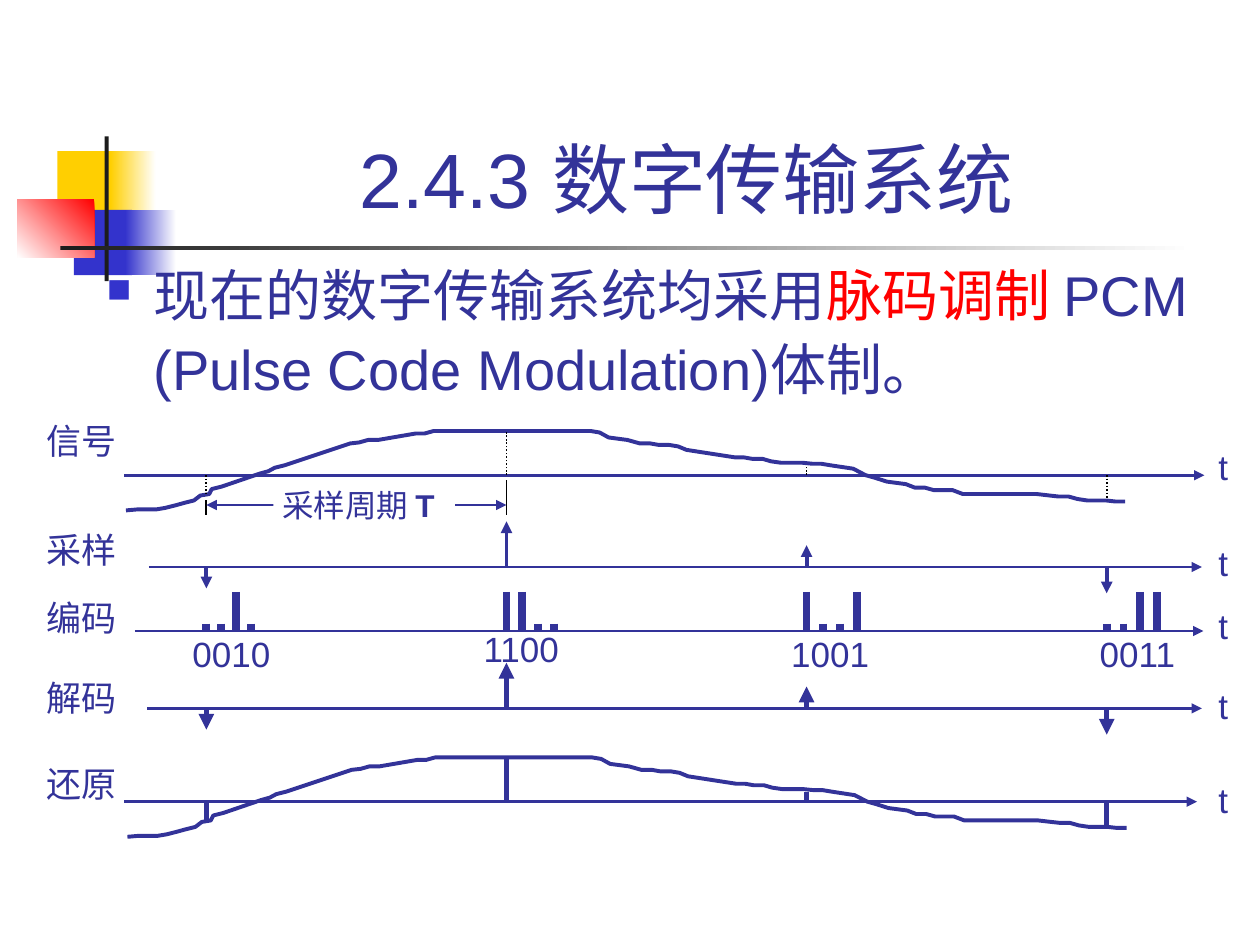
from collections import namedtuple
from dataclasses import dataclass

from lxml import etree
from pptx import Presentation
from pptx.dml.color import RGBColor
from pptx.enum.dml import MSO_LINE
from pptx.enum.shapes import MSO_CONNECTOR, MSO_SHAPE
from pptx.enum.text import MSO_ANCHOR, MSO_AUTO_SIZE, PP_ALIGN
from pptx.oxml.ns import qn
from pptx.util import Cm, Pt

STRAIGHT = MSO_CONNECTOR.STRAIGHT
RECTANGLE = MSO_SHAPE.RECTANGLE
DOTTED = MSO_LINE.ROUND_DOT
GROW, FIXED = MSO_AUTO_SIZE.SHAPE_TO_FIT_TEXT, MSO_AUTO_SIZE.NONE
BOTTOM, CENTER = MSO_ANCHOR.BOTTOM, PP_ALIGN.CENTER

Box = namedtuple("Box", "left top width height")
# Centimetres; axis is the height of the time axis, the rises are above it.
Row = namedtuple("Row", "label left axis right label_rise unit_rise")


@dataclass(frozen=True)
class Theme:
    ink: str = "333399"
    accent: str = "FF0000"
    blue: str = "3333CC"
    yellow: str = "FFCF01"
    dark: str = "1C1C1C"
    black: str = "000000"
    white: str = "FFFFFF"
    font: str = "Arial"
    label_font: str = "Times New Roman"
    title: int = 44
    body: int = 32
    body_end: int = 36
    label: int = 20
    note: int = 18
    hairline: float = 1
    axis: float = 1.5
    curve: float = 2.25
    stem: float = 3
    bar: float = 4.5


THEME = Theme()
SAMPLE_X = [4.16 + 6.05 * i for i in range(4)]
CURVE_DROPS = (0.41, -0.89, -0.19, 0.49)
PULSE_DROPS = (0.43, -0.92, -0.44, 0.53)
# Offsets from the start of the curve and below the axis
CURVE = (
    (0, .71), (.23, .69), (.61, .69), (.79, .66), (.99, .61), (1.17, .56), (1.37, .51),
    (1.5, .41), (1.68, .38), (1.73, .28), (1.93, .23), (2.69, -.03), (2.87, -.08),
    (3, -.15), (3.2, -.2), (4.52, -.64), (4.7, -.66), (4.88, -.71), (5.08, -.71),
    (5.84, -.84), (6.02, -.84), (6.2, -.89), (9.37, -.89), (9.55, -.86), (9.73, -.76),
    (10.11, -.71), (10.36, -.64), (10.57, -.64), (10.74, -.61), (10.95, -.61),
    (11.13, -.58), (11.3, -.51), (12.27, -.36), (12.45, -.36), (12.62, -.33),
    (12.83, -.33), (13, -.28), (13.21, -.25), (13.64, -.25), (13.84, -.23),
    (14.02, -.23), (14.2, -.2), (14.66, -.13), (14.91, 0), (15.09, .05), (15.34, .13),
    (15.72, .18), (15.9, .25), (16.1, .25), (16.28, .3), (16.66, .3), (16.87, .38),
    (18.36, .38), (18.62, .41), (18.8, .43), (19, .43), (19.18, .48), (19.38, .51),
    (19.76, .51), (19.94, .53), (20.14, .53),
)
# Code word, distance between bars, left of its label, drop of its label
CODES = (
    ("0010", 0.3, 3.63, -0.1), ("1100", 0.32, 9.5, -0.2),
    ("1001", 0.34, 15.7, -0.1), ("0011", 0.34, 21.92, -0.1),
)


def rgb(color):
    return RGBColor.from_string(color)


def lengths(box):
    return [Cm(value) for value in box]


def add_span(para, text, size, color=THEME.ink, **formats):
    span = para.add_run()
    span.text = text
    span.font.color.rgb = rgb(color)
    for name, value in {"name": THEME.font, "size": Pt(size), **formats}.items():
        setattr(span.font, name, value)


def add_label(slide, box, text, size=THEME.label, **formats):
    """Add an unwrapped line of text and return its paragraph."""
    frame = slide.shapes.add_textbox(*lengths(box)).text_frame
    frame.word_wrap = False
    frame.auto_size = GROW
    add_span(frame.paragraphs[0], text, size, **formats)
    return frame.paragraphs[0]


def add_line(slide, start, end, width, color=THEME.ink, dash=None, arrows=()):
    """Draw a line; arrows lists headEnd (at start) and tailEnd (at end), in that order."""
    line = slide.shapes.add_connector(STRAIGHT, *lengths(start + end))
    line.line.color.rgb = rgb(color)
    line.line.width = Pt(width)
    if dash:
        line.line.dash_style = dash
    properties = line._element.spPr
    for arrow in arrows:
        etree.SubElement(properties.find(qn("a:ln")), qn(f"a:{arrow}"), type="triangle")
    etree.SubElement(properties, qn("a:effectLst"))


def add_block(slide, box, color, fade_to=None, angle=0):
    block = slide.shapes.add_shape(RECTANGLE, *lengths(box))
    block.shadow.inherit = False
    block.line.fill.background()
    if fade_to is None:
        block.fill.solid()
        block.fill.fore_color.rgb = rgb(color)
        return
    block.fill.gradient()
    block.fill.gradient_angle = angle
    for stop, shade in zip(block.fill.gradient_stops, (color, fade_to)):
        stop.color.rgb = rgb(shade)


def add_ornament(slide, box):
    white = THEME.white
    blocks = (
        (Box(0.81, 0.3, 1.22, 1.32), THEME.yellow),
        (Box(1.88, 0.3, 0.91, 1.32), THEME.yellow, white),
        (Box(1.14, 1.48, 1.17, 1.32), THEME.blue),
        (Box(2.18, 1.48, 1.02, 1.32), THEME.blue, white),
        (Box(0, 1.27, 1.55, 1.17), THEME.accent, white, 225),
        (Box(1.76, 0, 0.08, 2.92), THEME.dark),
        (Box(0.87, 2.2, 22.86, 0.09), THEME.dark, white),
    )
    for part, *fill in blocks:
        place = part._replace(left=box.left + part.left, top=box.top + part.top)
        add_block(slide, place, *fill)


def add_title(slide, box):
    title = slide.shapes.title
    for name, value in zip(Box._fields, lengths(box)):
        setattr(title, name, value)
    frame = title.text_frame
    for name, value in {"auto_size": FIXED, "vertical_anchor": BOTTOM, "word_wrap": True}.items():
        setattr(frame, name, value)
    frame.paragraphs[0].alignment = CENTER
    add_span(frame.paragraphs[0], "2.4.3 数字传输系统 ", THEME.title)


def add_statement(slide, box):
    frame = slide.shapes.add_textbox(*lengths(box)).text_frame
    frame.word_wrap = True
    para = frame.paragraphs[0]
    properties = para._p.get_or_add_pPr()
    properties.set("marL", str(Cm(0.95)))
    properties.set("indent", str(Cm(-0.95)))
    bullet_color = etree.SubElement(properties, qn("a:buClr"))
    etree.SubElement(bullet_color, qn("a:srgbClr"), val=THEME.blue)
    etree.SubElement(properties, qn("a:buSzPct"), val="60000")
    etree.SubElement(properties, qn("a:buChar"), char="■")
    add_span(para, "现在的数字传输系统均采用", THEME.body)
    add_span(para, "脉码调制 ", THEME.body, THEME.accent)
    add_span(para, "PCM (Pulse Code Modulation)体制。", THEME.body)
    add_span(para, " ", THEME.body_end)


def add_axis(slide, row, font=THEME.font):
    add_line(slide, (row.left, row.axis), (row.right, row.axis), THEME.axis, arrows=["tailEnd"])
    add_label(slide, Box(0.69, row.axis - row.label_rise, 1.93, 1.09), row.label, name=font)
    add_label(slide, Box(24.31, row.axis - row.unit_rise, 0.71, 1.09), "t")


def add_curve(slide, left, axis):
    points = [(Cm(left + x), Cm(axis + y)) for x, y in CURVE]
    builder = slide.shapes.build_freeform(*points[0])
    builder.add_line_segments(points[1:], close=False)
    curve = builder.convert_to_shape()
    curve.shadow.inherit = False
    curve.fill.background()
    curve.line.color.rgb = rgb(THEME.ink)
    curve.line.width = Pt(THEME.curve)


def add_stems(slide, axis, drops, width, **style):
    for x, drop in zip(SAMPLE_X, drops):
        add_line(slide, (x, axis), (x, axis + drop), width, **style)


def add_period(slide, axis):
    """Mark the sampling period between the first two samples."""
    first, second = SAMPLE_X[:2]
    for x, start in ((first, 0.5), (second, 0.1)):
        add_line(slide, (x, axis + start), (x, axis + 0.8), THEME.hairline, THEME.black)
    add_line(slide, (first, axis + 0.6), (second, axis + 0.6), THEME.hairline + 0.5,
             arrows=["headEnd", "tailEnd"])
    add_block(slide, Box(first + 1.35, axis + 0.35, 3.66, 0.48), THEME.white)
    para = add_label(slide, Box(first + 1.28, axis + 0.1, 3.73, 1.02), "采样周期 ", THEME.note)
    add_span(para, "T", THEME.note, bold=True)


def add_codes(slide, axis):
    for start, (code, step, left, drop) in zip(SAMPLE_X, CODES):
        for place, digit in enumerate(code):
            x = start + place * step
            height = 0.79 if digit == "1" else 0.15
            add_line(slide, (x, axis - height), (x, axis), THEME.bar)
        add_label(slide, Box(left, axis + drop, 2.08, 1.09), code)


def add_diagram(slide):
    signal = Row("信号", 2.5, 9.58, 24.28, 1.25, 0.72)
    sampling = Row("采样", 3, 11.43, 24.23, 0.91, 0.63)
    coding = Row("编码", 2.72, 12.72, 24.26, 0.81, 0.65)
    decoding = Row("解码", 2.97, 14.28, 24.23, 0.77, 0.61)
    restored = Row("还原", 2.51, 16.16, 24.13, 0.92, 0.59)
    add_axis(slide, signal, THEME.label_font)
    add_curve(slide, 2.54, signal.axis)
    add_stems(slide, signal.axis, CURVE_DROPS, THEME.hairline, color=THEME.black, dash=DOTTED)
    add_period(slide, signal.axis)
    for row, width in ((sampling, THEME.curve), (decoding, THEME.stem)):
        add_axis(slide, row)
        add_stems(slide, row.axis, PULSE_DROPS, width, arrows=["tailEnd"])
    add_axis(slide, coding)
    add_codes(slide, coding.axis)
    add_axis(slide, restored)
    add_curve(slide, 2.57, restored.axis)
    add_stems(slide, restored.axis, CURVE_DROPS, THEME.stem)


def main():
    deck = Presentation()
    deck.slide_width, deck.slide_height = Cm(25.4), Cm(19.05)
    page = deck.slides.add_slide(deck.slide_layouts[5])
    add_ornament(page, Box(0.35, 2.75, 23.73, 2.92))
    add_title(page, Box(3.2, 0.58, 21.64, 4.06))
    add_statement(page, Box(1.9, 5.13, 23.01, 3.23))
    add_diagram(page)
    deck.save("out.pptx")


if __name__ == "__main__":
    main()
